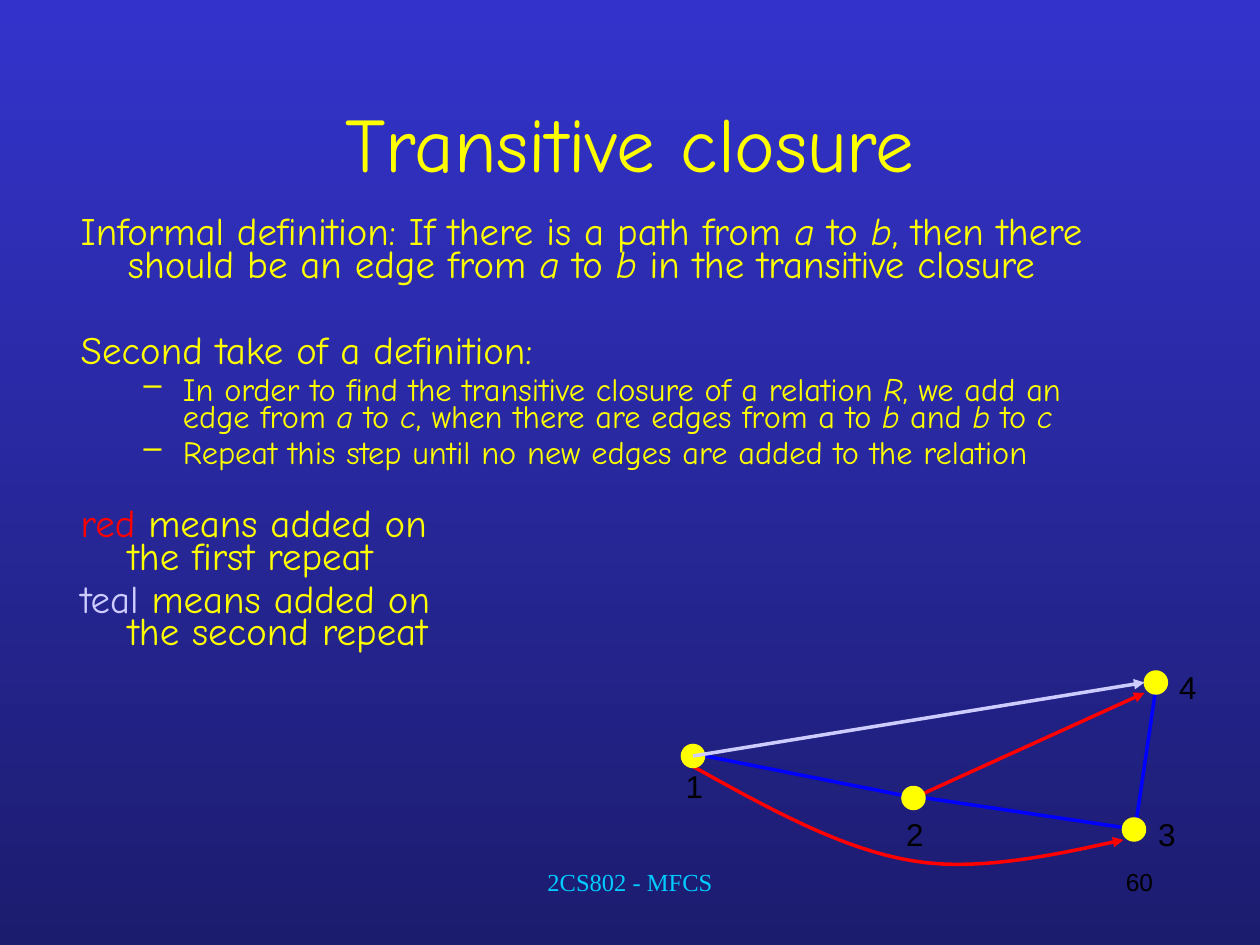
"""Build the slide on the transitive closure of a relation."""
from lxml import etree
from pptx import Presentation
from pptx.dml.color import RGBColor
from pptx.enum.shapes import MSO_CONNECTOR, MSO_SHAPE
from pptx.enum.text import MSO_ANCHOR, PP_ALIGN
from pptx.oxml.ns import qn
from pptx.util import Pt

STRAIGHT, OVAL = MSO_CONNECTOR.STRAIGHT, MSO_SHAPE.OVAL
LEFT, CENTER, RIGHT = PP_ALIGN.LEFT, PP_ALIGN.CENTER, PP_ALIGN.RIGHT
TOP, MIDDLE = MSO_ANCHOR.TOP, MSO_ANCHOR.MIDDLE
YELLOW = RGBColor(0xFF, 0xFF, 0x00)
RED = RGBColor(0xFF, 0x00, 0x00)
BLUE = RGBColor(0x00, 0x00, 0xFF)
TEAL = RGBColor(0xCC, 0xCC, 0xFF)
CYAN = RGBColor(0x00, 0xCC, 0xFF)
BLACK = RGBColor(0x00, 0x00, 0x00)
BG_TOP = RGBColor(0x33, 0x33, 0xCC)
BG_BOTTOM = RGBColor(0x1C, 0x1C, 0x6F)
COMIC = "Comic Neue"

prs = Presentation()
prs.slide_width, prs.slide_height = Pt(720), Pt(540)
s = prs.slides.add_slide(prs.slide_layouts[6])
bg = s.background.fill
bg.gradient()
bg.gradient_angle = 270
for stop, color, pos in zip(bg.gradient_stops, (BG_TOP, BG_BOTTOM), (0, 1)):
    stop.color.rgb, stop.position = color, pos


def add_text(text, box=None, p=None, size=18, color=BLACK, font="Arial",
             align=LEFT, anchor=TOP, wrap=True):
    if p is None:
        tf = s.shapes.add_textbox(*map(Pt, box)).text_frame
        tf.word_wrap, tf.vertical_anchor = wrap, anchor
        p = tf.paragraphs[0]
    p.alignment = align
    for i, part in enumerate(text.split("*")):
        for j, line in enumerate(part.split("\n")):
            if j:
                p.add_line_break()
            if line:
                r = p.add_run()
                r.text = line
                r.font.size, r.font.name = Pt(size), font
                r.font.color.rgb, r.font.italic = color, i % 2 == 1


def style_line(sp, color, arrow=True):
    sp.line.color.rgb, sp.line.width = color, Pt(2)
    if arrow:
        ln = sp.line._get_or_add_ln()
        etree.SubElement(ln, qn("a:tailEnd"), type="triangle")
    if sp._element.spPr.find(qn("a:effectLst")) is None:
        etree.SubElement(sp._element.spPr, qn("a:effectLst"))


add_text("60", (516, 492, 150, 36), size=14, align=RIGHT)
add_text("Transitive closure", (54, 36, 612, 90), size=44, color=YELLOW,
         font=COMIC, align=CENTER, anchor=MIDDLE)

body = [
    (0, 0, [("Informal definition: If there is a path from *a* to *b*, then there "
             "should be an edge from *a *to *b *in the transitive closure", YELLOW)]),
    (0, 30.5, [("Second take of a definition:", YELLOW)]),
    (1, 5, [("In order to find the transitive closure of a relation *R*, we add an "
             "edge from *a* to *c*, when there are edges from a to *b* and *b* to *c*",
             YELLOW)]),
    (1, 5, [("Repeat this step until no new edges are added to the relation", YELLOW)]),
    (0, 23.5, [("red", RED), (" means added on \nthe first repeat", YELLOW)]),
    (0, 6, [("teal", TEAL), (" means added on \nthe second repeat", YELLOW)]),
]
tf = s.shapes.add_textbox(Pt(39), Pt(122), Pt(612), Pt(306)).text_frame
tf.word_wrap = True
for i, (level, before, runs) in enumerate(body):
    p = tf.add_paragraph() if i else tf.paragraphs[0]
    p.level, p.line_spacing, p.space_before = level, 0.7, Pt(before)
    pPr = p._p.get_or_add_pPr()
    margin, indent = ((58.5, -22.5) if level else (27, -27))
    pPr.set("marL", str(Pt(margin)))
    pPr.set("indent", str(Pt(indent)))
    if level:
        buClr = etree.SubElement(pPr, qn("a:buClr"))
        etree.SubElement(buClr, qn("a:srgbClr"), val=str(YELLOW))
        etree.SubElement(pPr, qn("a:buChar"), char="–")
    else:
        etree.SubElement(pPr, qn("a:buNone"))
    for text, color in runs:
        add_text(text, p=p, size=18.5 if level else 22.2, color=color, font=COMIC)

curves = [((396, 438), (438.5, 461.5), (481, 485.5), (522, 492)),
          ((522, 492), (563, 499), (615, 485.5), (642, 480))]
steps = 16
points = []
for a, b, c, d in curves:
    for k in range(1, steps + 1):
        t = k / steps
        u = 1 - t
        points.append([Pt(u**3 * a[n] + 3 * u * u * t * b[n] + 3 * u * t * t * c[n]
                          + t**3 * d[n]) for n in (0, 1)])
fb = s.shapes.build_freeform(Pt(396), Pt(438))
fb.add_line_segments(points, close=False)
sp = fb.convert_to_shape()
sp.fill.background()
style_line(sp, RED)

edges = [
    (522, 456, 654, 396, RED),
    (649.5, 468, 661, 390, BLUE),
    (529, 456, 649.5, 474, BLUE),
    (403, 432, 523.5, 456, BLUE),
    (396, 432, 654, 390, TEAL),
]
nodes = [
    ("1", 390, 426, 384.5, 435),
    ("2", 516, 450, 510.5, 462),
    ("3", 642, 468, 654.5, 462),
    ("4", 654.5, 384, 666.5, 378),
]
for *ends, color in edges:
    if color == TEAL:
        for name, x, y, label_x, label_y in nodes:
            sp = s.shapes.add_shape(OVAL, Pt(x), Pt(y), Pt(12), Pt(12))
            sp.fill.solid()
            sp.fill.fore_color.rgb = YELLOW
            style_line(sp, YELLOW, arrow=False)
            add_text(name, (label_x, label_y, 24.5, 29), align=CENTER, wrap=False)
    style_line(s.shapes.add_connector(STRAIGHT, *map(Pt, ends)), color)

add_text("2CS802 - MFCS", (204, 492, 312, 36), size=14, color=CYAN,
         font="Times New Roman", align=CENTER)
prs.save("out.pptx")
